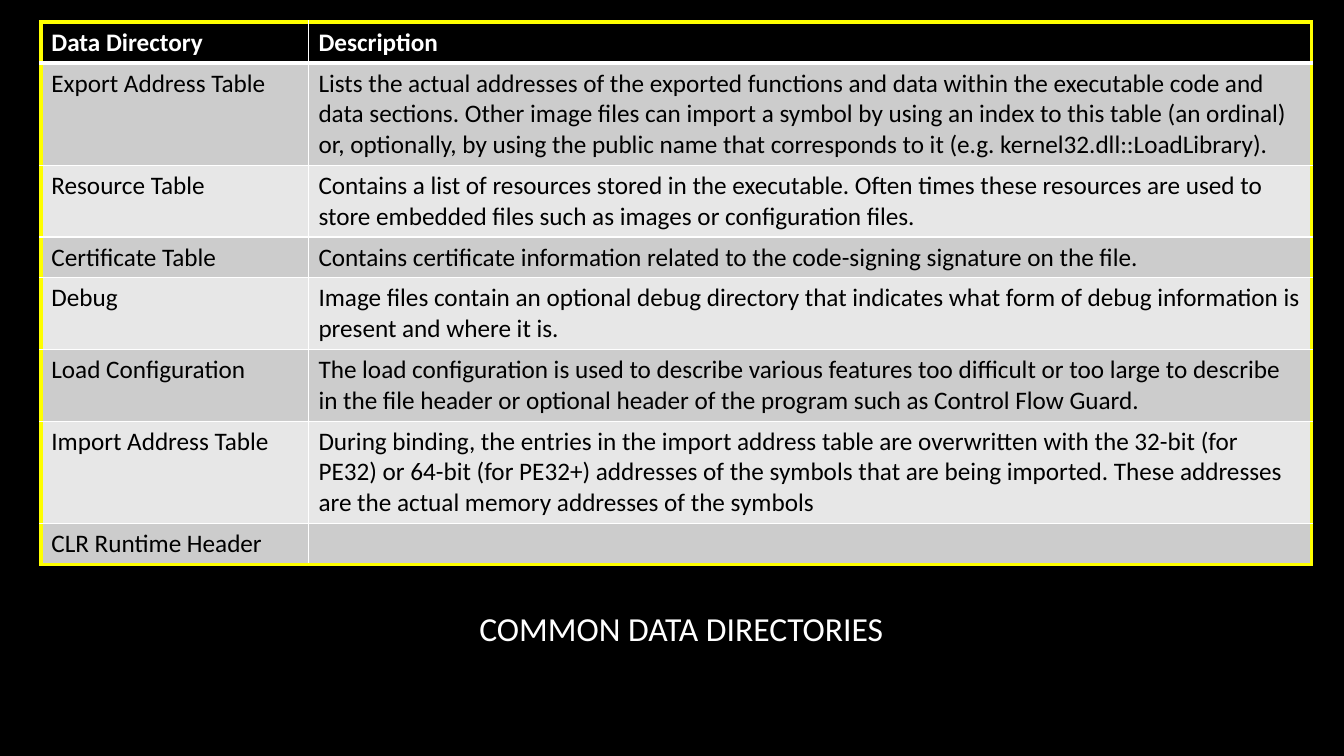
from dataclasses import dataclass

from lxml import etree
from pptx import Presentation
from pptx.dml.color import RGBColor
from pptx.enum.text import MSO_ANCHOR, PP_ALIGN
from pptx.oxml.ns import qn
from pptx.util import Pt

CENTER, BOTTOM = PP_ALIGN.CENTER, MSO_ANCHOR.BOTTOM

TITLE = "COMMON DATA DIRECTORIES"
HEADER = ("Data Directory", "Description")
DIRECTORIES = [
    ("Export Address Table ",
     "Lists the actual addresses of the exported functions and data within the "
     "executable code and data sections. Other image files can import a symbol by "
     "using an index to this table (an ordinal) or, optionally, by using the public "
     "name that corresponds to it (e.g. kernel32.dll::LoadLibrary).", 3),
    ("Resource Table",
     "Contains a list of resources stored in the executable. Often times these "
     "resources are used to store embedded files such as images or configuration "
     "files.", 2),
    ("Certificate Table",
     "Contains certificate information related to the code-signing signature on "
     "the file.", 1),
    ("Debug",
     "Image files contain an optional debug directory that indicates what form of "
     "debug information is present and where it is.", 2),
    ("Load Configuration",
     "The load configuration is used to describe various features too difficult or "
     "too large to describe in the file header or optional header of the program "
     "such as Control Flow Guard.", 2),
    ("Import Address Table",
     "During binding, the entries in the import address table are overwritten with "
     "the 32-bit (for PE32) or 64-bit (for PE32+) addresses of the symbols that are "
     "being imported. These addresses are the actual memory addresses of the "
     "symbols", 3),
    ("CLR Runtime Header", "", 1),
]


@dataclass(frozen=True)
class Theme:
    font: str = "Calibri"
    title_size: int = 24
    table_size: int = 18
    black: str = "000000"
    white: str = "FFFFFF"
    frame: str = "FFFF00"
    bands: tuple = ("CCCCCC", "E7E7E7")
    thin: int = 1
    thick: int = 3


T = Theme()
SLIDE_W, SLIDE_H = 960, 540
TABLE_LEFT, TABLE_TOP = 29.5, 15.8
COL_WIDTHS = (190.8, 716.4)
ROW_H, LINE_H = 29.2, 21.6
TITLE_BOX = {"left": 87.8, "top": 421.9, "width": 797.8, "height": 44.6}


def set_font(font, size, color, bold=False):
    formats = {"name": T.font, "size": Pt(size), "bold": bold}
    for key, value in formats.items():
        setattr(font, key, value)
    font.color.rgb = RGBColor.from_string(color)


def set_borders(cell, borders):
    tcPr = cell._tc.get_or_add_tcPr()
    for i, (side, (color, width)) in enumerate(borders.items()):
        ln = etree.Element(qn(f"a:ln{side}"), w=str(Pt(width)))
        fill = etree.SubElement(ln, qn("a:solidFill"))
        etree.SubElement(fill, qn("a:srgbClr"), val=color)
        tcPr.insert(i, ln)


prs = Presentation()
prs.slide_width, prs.slide_height = Pt(SLIDE_W), Pt(SLIDE_H)
s = prs.slides.add_slide(prs.slide_layouts[5])
s.background.fill.solid()
s.background.fill.fore_color.rgb = RGBColor.from_string(T.black)

title = s.shapes.title
for key, value in TITLE_BOX.items():
    setattr(title, key, Pt(value))
tf = title.text_frame
tf.text = TITLE
tf.vertical_anchor = BOTTOM
p = tf.paragraphs[0]
p.alignment = CENTER
set_font(p.runs[0].font, T.title_size, T.white)

rows = [(*HEADER, 1)] + DIRECTORIES
heights = [ROW_H + LINE_H * (lines - 1) for *_, lines in rows]
table = s.shapes.add_table(
    len(rows), len(COL_WIDTHS), Pt(TABLE_LEFT), Pt(TABLE_TOP),
    Pt(sum(COL_WIDTHS)), Pt(sum(heights))).table
for column, width in zip(table.columns, COL_WIDTHS):
    column.width = Pt(width)

frame, rule, header_rule = (T.frame, T.thick), (T.white, T.thin), (T.white, T.thick)
last_row, last_col = len(rows) - 1, len(COL_WIDTHS) - 1
for i, (*texts, _) in enumerate(rows):
    table.rows[i].height = Pt(heights[i])
    is_header = i == 0
    for j, text in enumerate(texts):
        cell = table.cell(i, j)
        cell.fill.solid()
        cell.fill.fore_color.rgb = RGBColor.from_string(
            T.black if is_header else T.bands[(i - 1) % 2])
        if text:
            r = cell.text_frame.paragraphs[0].add_run()
            r.text = text
            set_font(r.font, T.table_size, T.white if is_header else T.black, is_header)
        set_borders(cell, {
            "L": frame if j == 0 else rule,
            "R": frame if j == last_col else rule,
            "T": frame if is_header else header_rule if i == 1 else rule,
            "B": frame if i == last_row else header_rule if is_header else rule,
        })

prs.save("out.pptx")
